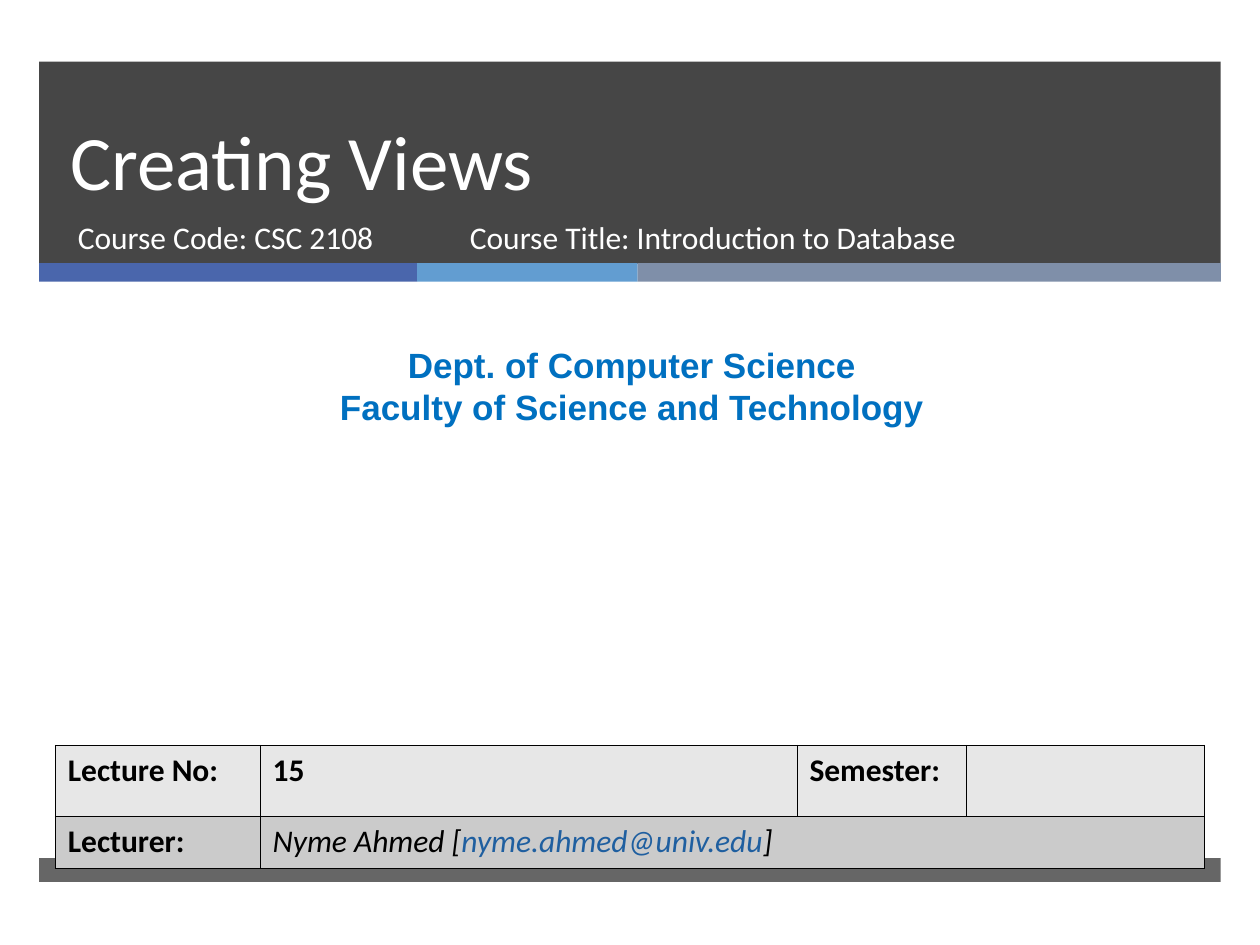
from pptx import Presentation
from pptx.dml.color import RGBColor as RGB
from pptx.enum.shapes import MSO_SHAPE as Kind
from pptx.enum.text import MSO_ANCHOR as Anchor, MSO_AUTO_SIZE as Fit, PP_ALIGN as Align
from pptx.oxml.ns import qn
from pptx.util import Pt
from lxml.etree import SubElement as Sub

DARK = RGB(0x26, 0x26, 0x26)
BLUE = RGB(0x4A, 0x66, 0xAC)
SKY = RGB(0x62, 0x9D, 0xD1)
SLATE = RGB(0x7F, 0x8F, 0xA9)
DEPT = RGB(0x00, 0x70, 0xC0)
LINK = RGB(0x1F, 0x5F, 0xA0)
PALE = RGB(0xE7, 0xE7, 0xE7)
GREY = RGB(0xCB, 0xCB, 0xCB)
WHITE = RGB(0xFF, 0xFF, 0xFF)
BLACK = RGB(0, 0, 0)


def write(para, text, font="Calibri", size=18, color=BLACK, bold=False, italic=False):
    """Add one formatted run to a paragraph."""
    run = para.add_run()
    run.text = text
    face = run.font
    face.name, face.size, face.bold, face.italic = font, Pt(size), bold, italic
    face.color.rgb = color


def edge(cell, color=BLACK, width=0.45):
    """Draw a line on all four sides of a cell."""
    props = cell._tc.get_or_add_tcPr()
    for pos, tag in enumerate(("a:lnL", "a:lnR", "a:lnT", "a:lnB")):
        line = props.makeelement(qn(tag), {"w": str(int(Pt(width)))})
        fill = Sub(line, qn("a:solidFill"))
        Sub(fill, qn("a:srgbClr"), val=str(color))
        props.insert(pos, line)


class Deck:
    """Style and current slide."""

    def __init__(self, wide, high):
        """Start a file with one title-only slide."""
        self.file = Presentation()
        self.file.slide_width, self.file.slide_height = Pt(wide), Pt(high)
        self.slide = self.file.slides.add_slide(self.file.slide_layouts[5])
        self.shapes = self.slide.shapes

    def bar(self, x, y, w, h, color, alpha=100):
        """Add a plain filled bar."""
        bar = self.shapes.add_shape(Kind.RECTANGLE, Pt(x), Pt(y), Pt(w), Pt(h))
        bar.shadow.inherit = False
        bar.line.fill.background()
        bar.fill.solid()
        bar.fill.fore_color.rgb = color
        if alpha < 100:
            tint = bar.fill._xPr.find(qn("a:solidFill"))[0]
            Sub(tint, qn("a:alpha"), val=str(alpha * 1000))

    def title(self, text, x, y, w, h, lead, **style):
        """Place the title and move it in front of the bars."""
        box = self.shapes.title
        box.left, box.top, box.width, box.height = Pt(x), Pt(y), Pt(w), Pt(h)
        frame = box.text_frame
        frame.auto_size, frame.vertical_anchor = Fit.NONE, Anchor.BOTTOM
        para = frame.paragraphs[0]
        para.alignment, para.line_spacing = Align.LEFT, Pt(lead)
        write(para, text, **style)
        self.shapes._spTree.append(box._element)

    def text(self, lines, x, y, w, h, align=Align.LEFT, **style):
        """Add a text box with one paragraph a line."""
        frame = self.shapes.add_textbox(Pt(x), Pt(y), Pt(w), Pt(h)).text_frame
        frame.word_wrap = True
        for num, line in enumerate(lines):
            para = frame.add_paragraph() if num else frame.paragraphs[0]
            para.alignment = align
            write(para, line, **style)

    def table(self, x, y, cols, rows, fills):
        """Add an empty bordered table with one fill a row."""
        grid = self.shapes.add_table(len(rows), len(cols), Pt(x), Pt(y),
                                     Pt(sum(cols)), Pt(sum(rows))).table
        for col, w in zip(grid.columns, cols):
            col.width = Pt(w)
        for row, h, color in zip(grid.rows, rows, fills):
            row.height = Pt(h)
            for cell in row.cells:
                cell.fill.solid()
                cell.fill.fore_color.rgb = color
                edge(cell)
        return grid


def main():
    """Build the slide."""
    deck = Deck(720, 540)
    left, wide = 22.4, 675.2
    deck.bar(left, 35.2, wide, 115.6, DARK, 85)
    x = left
    for w, color in ((216, BLUE), (126, SKY), (333.2, SLATE)):
        deck.bar(x, 150.4, w, 10.6, color)
        x += w
    deck.bar(left, 490.4, wide, 13.6, DARK, 70)

    deck.title("Creating Views", 33.1, 35.2, 615, 85.8, 46, size=44, color=WHITE)
    deck.text(["Course Code: CSC 2108"], 37.4, 120.8, 220, 38, color=WHITE)
    deck.text(["Course Title: Introduction to Database"], 261.4, 121.2, 328, 38,
              color=WHITE)
    deck.text(["Dept. of Computer Science", "Faculty of Science and Technology"],
              5.8, 193, 710.6, 55.4, Align.CENTER,
              font="Arial", size=20, color=DEPT, bold=True)

    grid = deck.table(31.6, 425.8, (117, 306.8, 96.6, 136), (40.6, 29.8), (PALE, GREY))
    grid.cell(1, 1).merge(grid.cell(1, 3))
    for row, col, label in ((0, 0, "Lecture No:"), (0, 1, "15"),
                            (0, 2, "Semester:"), (1, 0, "Lecturer:")):
        write(grid.cell(row, col).text_frame.paragraphs[0], label, bold=True)
    para = grid.cell(1, 1).text_frame.paragraphs[0]
    for part, color in (("Nyme Ahmed [", BLACK), ("nyme.ahmed@univ.edu", LINK),
                        ("]", BLACK)):
        write(para, part, color=color, italic=True)

    deck.file.save("out.pptx")


main()
